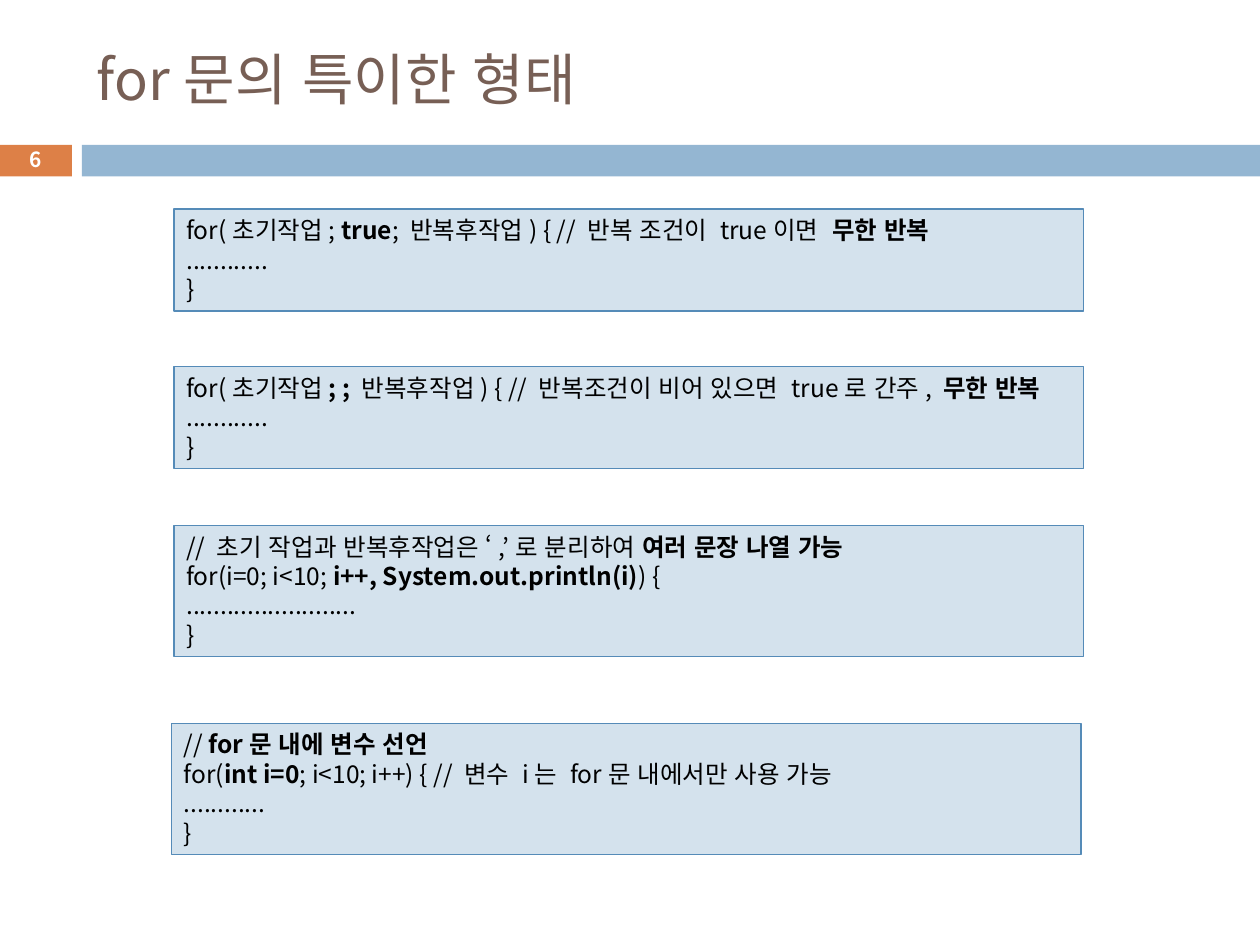
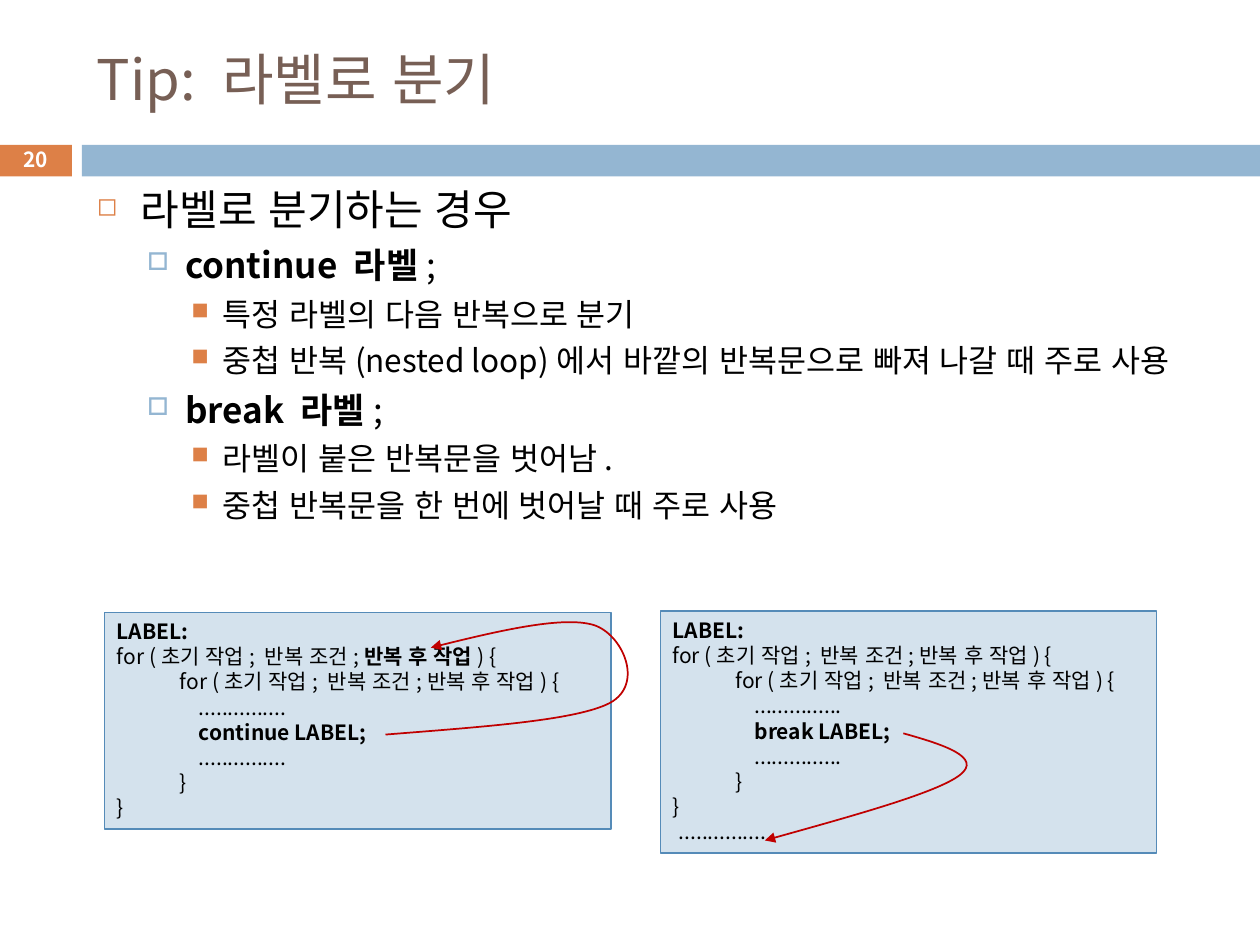
from dataclasses import dataclass

from lxml import etree
from pptx import Presentation
from pptx import util as u
from pptx.dml.color import RGBColor
from pptx.enum import lang, shapes, text
from pptx.oxml.ns import qn


@dataclass(frozen=True)
class Theme:
    font: str = "Noto Sans CJK KR"
    title_color: str = "775F55"
    text_color: str = "000000"
    white: str = "FFFFFF"
    orange: str = "DD8047"
    blue: str = "94B6D2"
    code_fill: str = "D4E2ED"
    code_line: str = "558BB8"
    arrow: str = "C00000"
    title_size: float = 32
    number_size: float = 11.9
    syntax_size: float = 14
    label_size: float = 12


THEME = Theme()

# Per outline level: text size, space before, left indent, hanging, bullet, colour, bullet %
OUTLINE_LEVELS = (
    (24, 7, 0.35, 0.35, "◻", THEME.orange, 60),
    (20, 5.5, 0.7, 0.3, "□", THEME.blue, 70),
    (18, 5, 1, 0.25, "■", THEME.orange, 75),
)

FOR_FORMS = (
    (1.38, 1.66, 0.81, (
        "for(초기작업; **true**; 반복후작업) { // 반복 조건이 true이면  **무한 반복**",
        "............",
        "}")),
    (1.38, 2.91, 0.81, (
        "for(초기작업**; ; **반복후작업) { // 반복조건이 비어 있으면 true로 간주, **무한 반복**",
        "............",
        "}")),
    (1.38, 4.17, 1.04, (
        "// 초기 작업과 반복후작업은 ‘,’로 분리하여 **여러 문장 나열 가능**",
        "for(i=0; i<10; **i++, System.out.println(i)**) {",
        ".........................",
        "}")),
    (1.36, 5.74, 1.04, (
        "// **for문 내에 변수 선언**",
        "for(**int i=0**; i<10; i++) { // 변수 i는 for문 내에서만 사용 가능",
        "............",
        "}")),
)

BRANCH_OUTLINE = (
    (0, "라벨로 분기하는 경우"),
    (1, "**continue 라벨**;"),
    (2, "특정 라벨의 다음 반복으로 분기"),
    (2, "중첩 반복(nested loop)에서 바깥의 반복문으로 빠져 나갈 때 주로 사용"),
    (1, "**break 라벨**;"),
    (2, "라벨이 붙은 반복문을 벗어남."),
    (2, "중첩 반복문을 한 번에 벗어날 때 주로 사용"),
)

CONTINUE_CURVE = ((3.06, 5.83), (3.81, 5.77), (4.57, 5.72), (4.84, 5.58),
                  (5.12, 5.43), (4.94, 5.03), (4.71, 4.96),
                  (4.47, 4.89), (3.94, 5.01), (3.42, 5.14))
BREAK_CURVE = ((7.17, 5.82), (7.49, 5.91), (7.8, 6.01), (7.62, 6.15),
               (7.44, 6.29), (6.75, 6.48), (6.07, 6.67))


def rgb(color):
    return RGBColor.from_string(color)


def write(paragraph, marked_text, size, color=THEME.text_color, bold=False):
    """Write text in which ** switches bold on and off."""
    for index, part in enumerate(marked_text.split("**")):
        if not part:
            continue
        run = paragraph.add_run()
        run.text = part
        run.font.size = u.Pt(size)
        run.font.bold = bold or index % 2 == 1
        run.font.language_id = lang.MSO_LANGUAGE_ID.KOREAN
        run.font.color.rgb = rgb(color)
        run.font.name = THEME.font
        east_asian = etree.SubElement(run.font._element, qn("a:ea"))
        east_asian.set("typeface", THEME.font)


def next_paragraph(frame, index):
    return frame.paragraphs[0] if index == 0 else frame.add_paragraph()


def set_indent(paragraph, left, hanging=0):
    properties = paragraph._p.get_or_add_pPr()
    properties.set("marL", str(u.Inches(left)))
    properties.set("indent", str(-u.Inches(hanging)))
    return properties


def add_text_box(slide, left, top, width, height, anchor=text.MSO_ANCHOR.TOP):
    box = slide.shapes.add_textbox(*map(u.Inches, (left, top, width, height)))
    frame = box.text_frame
    frame.word_wrap = True
    frame.vertical_anchor = anchor
    return frame


def add_rectangle(slide, left, top, width, height, fill, line=None):
    shape = slide.shapes.add_shape(shapes.MSO_SHAPE.RECTANGLE,
                                   *map(u.Inches, (left, top, width, height)))
    shape.shadow.inherit = False
    shape.fill.solid()
    shape.fill.fore_color.rgb = rgb(fill)
    if line:
        shape.line.color.rgb = rgb(line)
        shape.line.width = u.Pt(0.75)
    else:
        shape.line.fill.background()
    return shape


def add_titled_slide(presentation, title, number):
    """Add a slide with the shared band, page number and title."""
    slide = presentation.slides.add_slide(presentation.slide_layouts[6])
    add_rectangle(slide, -0.01, 1.15, 0.58, 0.25, THEME.orange)
    add_rectangle(slide, 0.65, 1.15, 9.35, 0.25, THEME.blue)
    title_frame = add_text_box(slide, 0.67, 0.25, 8.92, 0.74, text.MSO_ANCHOR.MIDDLE)
    write(title_frame.paragraphs[0], title, THEME.title_size, THEME.title_color)
    number_frame = add_text_box(slide, -0.01, 1.13, 0.58, 0.27, text.MSO_ANCHOR.MIDDLE)
    number_frame.paragraphs[0].alignment = text.PP_ALIGN.CENTER
    write(number_frame.paragraphs[0], str(number), THEME.number_size, THEME.white, bold=True)
    return slide


def add_code_box(slide, left, top, width, height, lines, size):
    """Add a code listing; a line is text, or a pair of indent and text."""
    box = add_rectangle(slide, left, top, width, height, THEME.code_fill, THEME.code_line)
    frame = box.text_frame
    frame.word_wrap = True
    frame.auto_size = text.MSO_AUTO_SIZE.SHAPE_TO_FIT_TEXT
    frame.vertical_anchor = text.MSO_ANCHOR.TOP
    for index, line in enumerate(lines):
        indent, code = (0, line) if isinstance(line, str) else line
        paragraph = next_paragraph(frame, index)
        paragraph.alignment = text.PP_ALIGN.LEFT
        set_indent(paragraph, indent)
        write(paragraph, code, size)


def labelled_loop(keyword, last_step):
    """Return the lines of a nested loop that jumps to LABEL."""
    dots = (0.65, "...............")
    return ["**LABEL:**",
            f"for (초기 작업; 반복 조건;{last_step}) {{",
            (0.5, "for (초기 작업; 반복 조건;반복 후 작업) {"),
            dots,
            (0.65, f"**{keyword} LABEL;**"),
            dots,
            (0.5, "}"),
            "}"]


def add_outline(slide, items):
    frame = add_text_box(slide, 0.67, 1.41, 8.92, 5.78)
    for index, (level, item) in enumerate(items):
        size, space, left, hanging, bullet, color, percent = OUTLINE_LEVELS[level]
        paragraph = next_paragraph(frame, index)
        paragraph.level = level
        paragraph.space_before = u.Pt(space)
        properties = set_indent(paragraph, left, hanging)
        bullet_color = etree.SubElement(properties, qn("a:buClr"))
        etree.SubElement(bullet_color, qn("a:srgbClr")).set("val", color)
        etree.SubElement(properties, qn("a:buSzPct")).set("val", str(percent * 1000))
        etree.SubElement(properties, qn("a:buChar")).set("char", bullet)
        write(paragraph, item, size)


def add_curved_arrow(slide, points):
    """Draw cubic Bézier curves: a start, then two controls and an end for each."""
    # The builder rounds to whole units, so it is given lengths in EMU.
    start_point, *other_points = [(u.Inches(x), u.Inches(y)) for x, y in points]
    builder = slide.shapes.build_freeform(*start_point)
    builder.add_line_segments(other_points, close=False)
    arrow = builder.convert_to_shape()
    lines = list(arrow._element.iter(qn("a:lnTo")))
    outline = lines[0].getparent()
    for start in range(0, len(lines), 3):
        curve = etree.SubElement(outline, qn("a:cubicBezTo"))
        for line in lines[start:start + 3]:
            curve.append(line[0])
            outline.remove(line)
    arrow.shadow.inherit = False
    arrow.fill.background()
    arrow.line.color.rgb = rgb(THEME.arrow)
    arrow.line.width = u.Pt(1)
    etree.SubElement(arrow.line._get_or_add_ln(), qn("a:tailEnd")).set("type", "triangle")


def build_for_forms(presentation):
    slide = add_titled_slide(presentation, "for문의 특이한 형태", 6)
    for left, top, height, lines in FOR_FORMS:
        add_code_box(slide, left, top, 7.22, height, lines, THEME.syntax_size)


def build_label_branching(presentation):
    slide = add_titled_slide(presentation, "Tip: 라벨로 분기", 20)
    add_outline(slide, BRANCH_OUTLINE)
    continue_loop = labelled_loop("continue", "**반복 후 작업**")
    break_loop = labelled_loop("break", "반복 후 작업") + [(0.05, "...............")]
    add_code_box(slide, 0.83, 4.86, 4.02, 1.72, continue_loop, THEME.label_size)
    add_code_box(slide, 5.24, 4.85, 3.94, 1.92, break_loop, THEME.label_size)
    add_curved_arrow(slide, BREAK_CURVE)
    add_curved_arrow(slide, CONTINUE_CURVE)


def main():
    presentation = Presentation()
    presentation.slide_width = u.Inches(10)
    presentation.slide_height = u.Inches(7.5)
    build_for_forms(presentation)
    build_label_branching(presentation)
    presentation.save("out.pptx")


if __name__ == "__main__":
    main()
